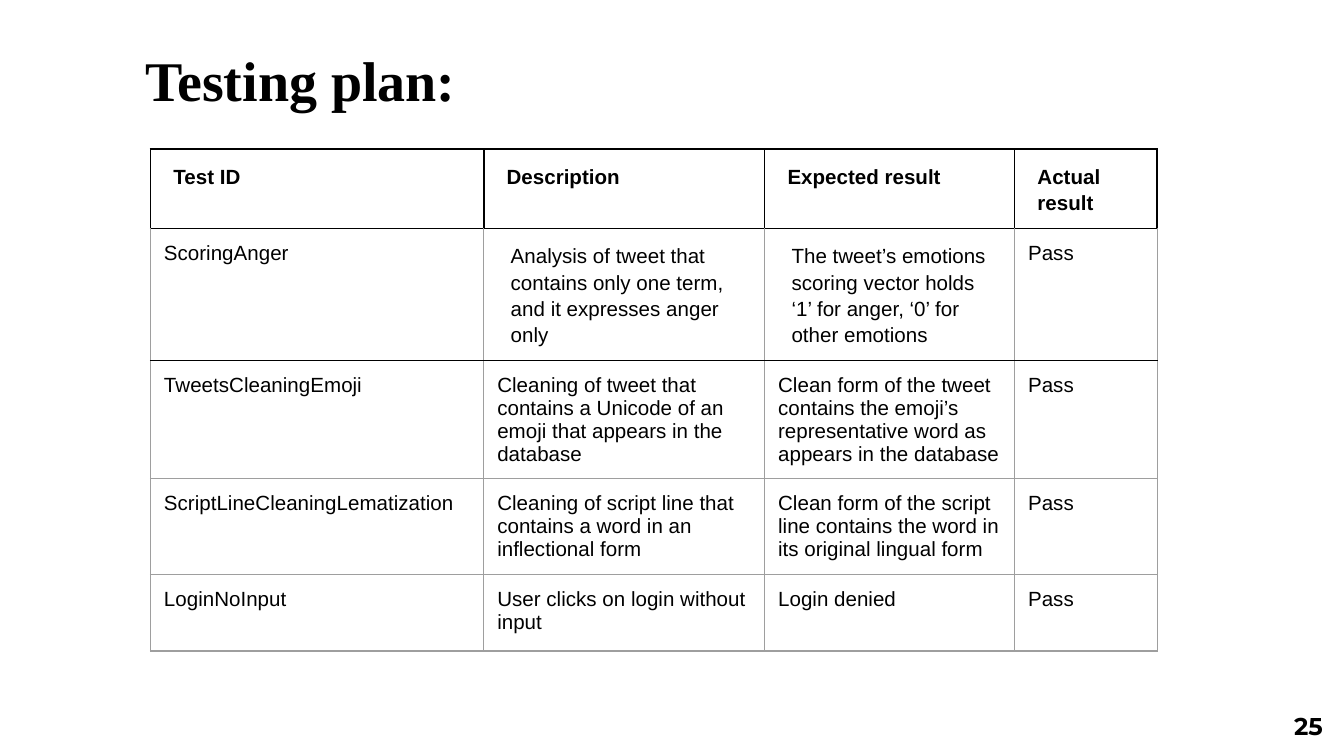
import pptx
import pptx.dml.color
import pptx.enum.text
import pptx.oxml
import pptx.oxml.ns
import pptx.util

Inches = pptx.util.Inches
Pt = pptx.util.Pt

TITLE = "Testing plan:"
PAGE_NUMBER = "25"
ROWS = [
    ("Test ID", "Description", "Expected result", "Actual result"),
    ("ScoringAnger",
     "Analysis of tweet that contains only one term, and it expresses anger only",
     "The tweet’s emotions scoring vector holds ‘1’ for anger, ‘0’ for other emotions",
     "Pass"),
    ("TweetsCleaningEmoji",
     "Cleaning of tweet that contains a Unicode of an emoji that appears in the database",
     "Clean form of the tweet contains the emoji’s representative word as appears in the database",
     "Pass"),
    ("ScriptLineCleaningLematization",
     "Cleaning of script line that contains a word in an inflectional form",
     "Clean form of the script line contains the word in its original lingual form",
     "Pass"),
    ("LoginNoInput", "User clicks on login without input", "Login denied", "Pass"),
]
COLUMN_WIDTHS = [2.48, 2.09, 1.86, 1.06]
ROW_HEIGHT = 0.57
INDENTED_CELLS = {(0, 0), (0, 1), (0, 2), (0, 3), (1, 1), (1, 2)}
BLACK, GREY = "000000", "9E9E9E"


def color(value):
    """Turn a hex string into a colour."""
    return pptx.dml.color.RGBColor.from_string(value)


def style(paragraph, font_name, size, bold):
    """Format every run of a paragraph."""
    for span in paragraph.runs:
        span.font.name = font_name
        span.font.size = Pt(size)
        span.font.bold = bold
        span.font.color.rgb = color(BLACK)


def set_margins(target, side, vertical=0.1):
    """Set the inner margins of a cell or text frame."""
    target.margin_left = target.margin_right = Inches(side)
    target.margin_top = target.margin_bottom = Inches(vertical)


def set_borders(cell, edges):
    """Draw the left, right, top and bottom borders of a cell."""
    properties = cell._tc.get_or_add_tcPr()
    for position, (side, (value, width)) in enumerate(zip("LRTB", edges)):
        line = pptx.oxml.parse_xml(
            f'<a:ln{side} {pptx.oxml.ns.nsdecls("a")} w="{int(Pt(width))}">'
            f'<a:solidFill><a:srgbClr val="{value}"/></a:solidFill></a:ln{side}>')
        properties.insert(position, line)


def add_title(page):
    """Place and format the title placeholder."""
    box = page.shapes.title
    box.left, box.top, box.width, box.height = map(Inches, (0.98, 0.21, 3.28, 0.76))
    frame = box.text_frame
    frame.text = TITLE
    frame.word_wrap = True
    frame.auto_size = pptx.enum.text.MSO_AUTO_SIZE.NONE
    frame.vertical_anchor = pptx.enum.text.MSO_ANCHOR.MIDDLE
    set_margins(frame, 0.1)
    frame.paragraphs[0].alignment = pptx.enum.text.PP_ALIGN.LEFT
    style(frame.paragraphs[0], "Times New Roman", 30, True)


def add_test_table(page):
    """Build the table of test cases."""
    table = page.shapes.add_table(
        len(ROWS), len(COLUMN_WIDTHS), Inches(1.12), Inches(1.11),
        Inches(sum(COLUMN_WIDTHS)), Inches(ROW_HEIGHT * len(ROWS))).table
    table.first_row = table.horz_banding = False
    for column, width in zip(table.columns, COLUMN_WIDTHS):
        column.width = Inches(width)
    strong, light = (BLACK, 1), (GREY, 0.75)
    for row, texts in enumerate(ROWS):
        table.rows[row].height = Inches(ROW_HEIGHT)
        header = row == 0
        side = strong if header else light
        top = strong if row <= 2 else light
        bottom = strong if row <= 1 else light
        for column, text in enumerate(texts):
            cell = table.cell(row, column)
            cell.text_frame.text = text
            cell.fill.background()
            set_margins(cell, 0.07 if header else 0.1)
            set_borders(cell, (side, side, top, bottom))
            paragraph = cell.text_frame.paragraphs[0]
            if (row, column) in INDENTED_CELLS:
                for margin in ("marL", "marR"):
                    paragraph._p.get_or_add_pPr().set(margin, str(int(Inches(0.1))))
                paragraph.line_spacing = 1.15
            style(paragraph, "Arial", 11, header)


def add_page_number(page):
    """Write the page number in the bottom right corner."""
    box = page.shapes.add_textbox(*map(Inches, (9.34, 5.19, 0.6, 0.43)))
    frame = box.text_frame
    frame.text = PAGE_NUMBER
    frame.word_wrap = True
    set_margins(frame, 0.1)
    frame.paragraphs[0].alignment = pptx.enum.text.PP_ALIGN.RIGHT
    style(frame.paragraphs[0], "Montserrat", 13, True)


def main():
    """Build and save the slide."""
    deck = pptx.Presentation()
    deck.slide_width = Inches(10)
    deck.slide_height = deck.slide_width * 9 // 16
    page = deck.slides.add_slide(deck.slide_layouts[5])
    add_title(page)
    add_test_table(page)
    add_page_number(page)
    deck.save("out.pptx")


if __name__ == "__main__":
    main()
